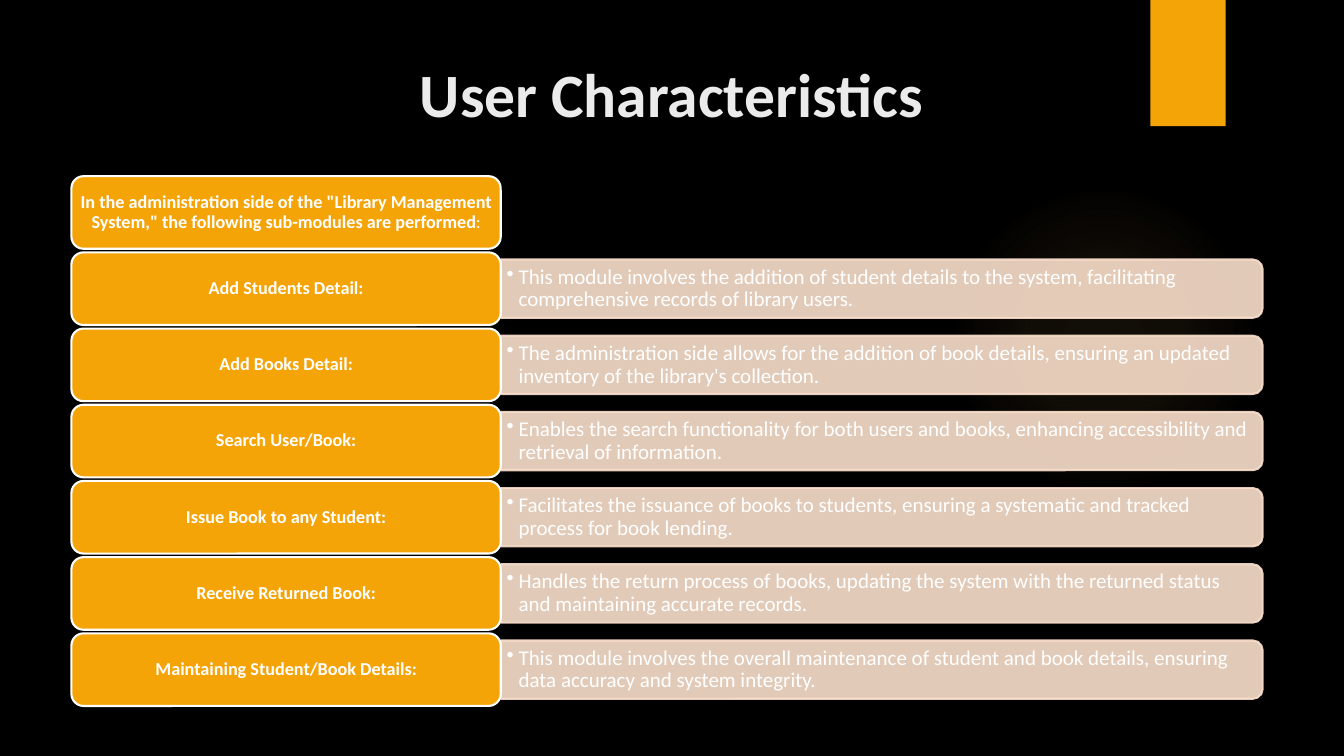
from lxml import etree
from pptx import Presentation
from pptx import util as u
from pptx.dml.color import RGBColor
from pptx.enum import shapes, text
from pptx.oxml import parse_xml
from pptx.oxml.ns import nsdecls, qn


class Theme:
    font = "Calibri"
    background = RGBColor.from_string("000000")
    accent = RGBColor.from_string("F5A408")
    bar = RGBColor.from_string("FBE0CC")
    white = RGBColor.from_string("FFFFFF")
    title = RGBColor.from_string("EBEBEB")
    glow = "FAC96A"
    title_size, label_size, detail_size = u.Pt(44), u.Pt(13), u.Pt(15)
    outline = u.Pt(1.5)


INTRO = ('In the administration side of the "Library Management System," '
         "the following sub-modules are performed")
MODULES = [
    ("Add Students Detail:",
     "This module involves the addition of student details to the system, "
     "facilitating comprehensive records of library users."),
    ("Add Books Detail:",
     "The administration side allows for the addition of book details, "
     "ensuring an updated inventory of the library's collection."),
    ("Search User/Book:",
     "Enables the search functionality for both users and books, "
     "enhancing accessibility and retrieval of information."),
    ("Issue Book to any Student:",
     "Facilitates the issuance of books to students, "
     "ensuring a systematic and tracked process for book lending."),
    ("Receive Returned Book:",
     "Handles the return process of books, updating the system "
     "with the returned status and maintaining accurate records."),
    ("Maintaining Student/Book Details:",
     "This module involves the overall maintenance of student and book details, "
     "ensuring data accuracy and system integrity."),
]


def add_shape(kind, left, top, width, height, fill, line=None):
    sp = s.shapes.add_shape(kind, u.Cm(left), u.Cm(top), u.Cm(width), u.Cm(height))
    sp.shadow.inherit = False
    sp.fill.solid()
    sp.fill.fore_color.rgb = fill
    if line is None:
        sp.line.fill.background()
    else:
        sp.line.color.rgb = line
        sp.line.width = Theme.outline
    return sp


def write(sp, words, size, color, bold, align, anchor, inset):
    tf = sp.text_frame
    tf.word_wrap = True
    tf.vertical_anchor = anchor
    tf.margin_left = tf.margin_right = u.Cm(inset)
    tf.margin_top = tf.margin_bottom = u.Cm(0.08)
    p = tf.paragraphs[0]
    p.text = words
    p.alignment = align
    p.line_spacing = 0.9
    p.font.name, p.font.size, p.font.bold = Theme.font, size, bold
    p.font.color.rgb = color
    for r in p.runs:
        r.font.name, r.font.size, r.font.bold = Theme.font, size, bold
        r.font.color.rgb = color
    return p


prs = Presentation()
prs.slide_width, prs.slide_height = u.Cm(33.87), u.Cm(19.05)
s = prs.slides.add_slide(prs.slide_layouts[6])
s.background.fill.solid()
s.background.fill.fore_color.rgb = Theme.background

# Soft glow and accent tab
glow = add_shape(shapes.MSO_SHAPE.OVAL, 23.9, 4.65, 7.82, 7.82, Theme.accent)
stops = "".join(
    f'<a:gs pos="{pos}000"><a:srgbClr val="{Theme.glow}">'
    f'<a:alpha val="{alpha}000"/></a:srgbClr></a:gs>'
    for pos, alpha in ((0, 7), (36, 6), (69, 0)))
solid = glow._element.spPr.find(qn("a:solidFill"))
solid.getparent().replace(solid, parse_xml(
    f'<a:gradFill {nsdecls("a")}><a:gsLst>{stops}</a:gsLst><a:path path="circle">'
    '<a:fillToRect l="50000" t="50000" r="50000" b="50000"/></a:path></a:gradFill>'))
add_shape(shapes.MSO_SHAPE.RECTANGLE, 28.99, 0, 1.9, 3.18, Theme.accent)

# Title
title = s.shapes.add_textbox(u.Cm(3.86), u.Cm(1.27), u.Cm(26.14), u.Cm(3.89))
p = write(title, "User Characteristics", Theme.title_size, Theme.title, True,
          text.PP_ALIGN.CENTER, text.MSO_ANCHOR.TOP, 0.25)
p.line_spacing = 1.0
title.text_frame.margin_top = u.Cm(0.13)

# Rows: a label card, with a detail bar beside every module
card_left, card_top, card_width, card_height = 1.8, 4.44, 10.82, 1.83
pitch = 1.92
bar_left, bar_width, bar_height = card_left + card_width, 19.2, 1.47
for i, (label, detail) in enumerate([(INTRO, None)] + MODULES):
    top = card_top + i * pitch
    middle = top + card_height / 2

    if detail:
        # The bar is an upright shape turned a quarter, so its right end is round
        bar = add_shape(shapes.MSO_SHAPE.ROUND_2_SAME_RECTANGLE,
                        bar_left + (bar_width - bar_height) / 2, middle - bar_width / 2,
                        bar_height, bar_width, Theme.bar, Theme.bar)
        bar.rotation = 90
        for color in bar._element.spPr.iter(qn("a:srgbClr")):
            etree.SubElement(color, qn("a:alpha"), val="90000")

        box = s.shapes.add_textbox(u.Cm(bar_left), u.Cm(middle - 0.66), u.Cm(19.15), u.Cm(1.32))
        p = write(box, detail, Theme.detail_size, Theme.white, False,
                  text.PP_ALIGN.LEFT, text.MSO_ANCHOR.MIDDLE, 0.15)
        pPr = p._p.get_or_add_pPr()
        pPr.set("marL", str(u.Cm(0.3)))
        pPr.set("indent", str(-u.Cm(0.3)))
        bullet = parse_xml(f'<a:buChar {nsdecls("a")} char="•"/>')
        pPr.find(qn("a:defRPr")).addprevious(bullet)

    card = add_shape(shapes.MSO_SHAPE.ROUNDED_RECTANGLE, card_left, top,
                     card_width, card_height, Theme.accent, Theme.white)
    p = write(card, label, Theme.label_size, Theme.white, True,
              text.PP_ALIGN.CENTER, text.MSO_ANCHOR.MIDDLE, 0.13)
    if not detail:
        r = p.add_run()
        r.text = ":"
        r.font.name, r.font.size, r.font.bold = Theme.font, Theme.label_size, False
        r.font.color.rgb = Theme.white

prs.save("out.pptx")
